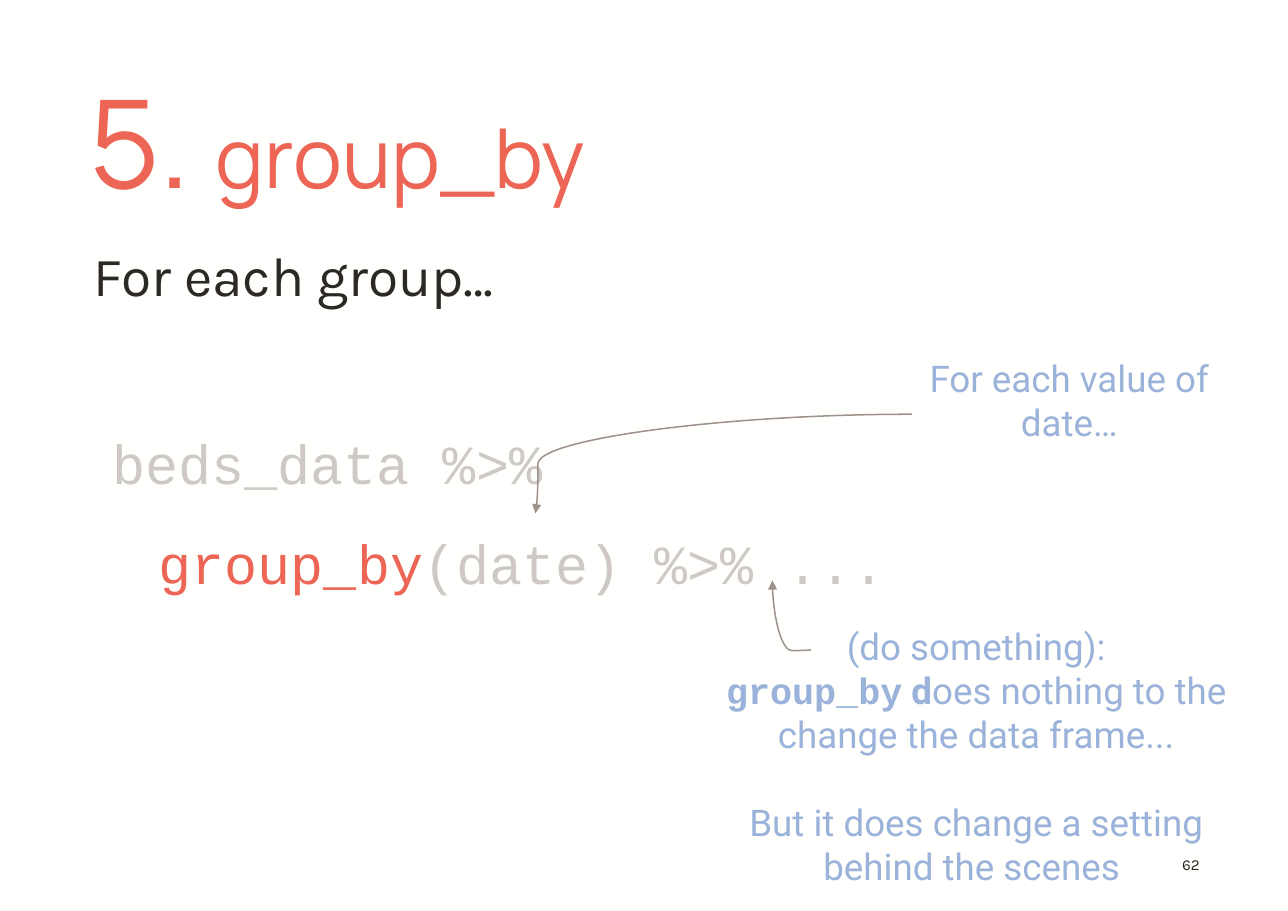
from lxml import etree
from pptx import Presentation
from pptx import util as u
from pptx.dml.color import RGBColor
from pptx.enum import shapes, text
from pptx.oxml.ns import qn

COLORS = {"paper": "FFFFFE", "coral": "EC6555", "ink": "2C2825",
          "code": "CEC9C5", "note": "9BB3DA", "arrow": "9D928A"}
MONO, SANS, BODY, HEAD = "Courier New", "Roboto", "Karla", "Manrope"

prs = Presentation()
prs.slide_width, prs.slide_height = u.Inches(11.69), u.Inches(8.27)


# The slide is a grid of 100 columns by 100 rows
def col(n):
    return round(prs.slide_width * n / 100)


def row(n):
    return round(prs.slide_height * n / 100)


def place(sp, box):
    x, y, w, h = box
    sp.left, sp.top, sp.width, sp.height = col(x), row(y), col(w), row(h)


def frame(sp, inset, anchor=text.MSO_ANCHOR.TOP):
    tf = sp.text_frame
    tf.word_wrap = True
    tf.auto_size = text.MSO_AUTO_SIZE.NONE
    tf.vertical_anchor = anchor
    tf.margin_left = tf.margin_right = u.Inches(inset[0])
    tf.margin_top = tf.margin_bottom = u.Inches(inset[1])
    return tf


def fill_paragraph(p, runs, align, before=0, indent=(0, 0), spacing=1.0):
    """Each run is (words, size, font, colour, bold)."""
    pPr = p._p.get_or_add_pPr()
    pPr.set("marL", str(u.Inches(indent[0])))
    pPr.set("indent", str(u.Inches(indent[1])))
    etree.SubElement(pPr, qn("a:buNone"))
    p.alignment = align
    p.line_spacing = spacing
    p.space_before, p.space_after = u.Pt(before), u.Pt(0)
    for words, size, font, color, bold in runs:
        r = p.add_run()
        r.text = words
        r.font.size, r.font.name, r.font.bold = u.Pt(size), font, bold
        r.font.color.rgb = RGBColor.from_string(COLORS[color])


def fill_frame(tf, paragraphs, align):
    for i, (runs, layout) in enumerate(paragraphs):
        p = tf.add_paragraph() if i else tf.paragraphs[0]
        fill_paragraph(p, runs, align, **layout)


def curved_arrow(slide, start, end, bend, turn=0):
    sp = slide.shapes.add_connector(
        shapes.MSO_CONNECTOR.CURVE,
        col(start[0]), row(start[1]), col(end[0]), row(end[1]))
    sp.line.width = u.Pt(1)
    sp.line.color.rgb = RGBColor.from_string(COLORS["arrow"])
    etree.SubElement(sp.line._get_or_add_ln(), qn("a:tailEnd"), type="triangle")
    spPr = sp._element.spPr
    etree.SubElement(spPr, qn("a:effectLst"))
    spPr.find(qn("a:xfrm")).set("rot", str(turn * 60000))
    geom = spPr.find(qn("a:prstGeom"))
    geom.set("prst", "curvedConnector3")
    guides = geom.find(qn("a:avLst"))
    if guides is None:
        guides = etree.SubElement(geom, qn("a:avLst"))
    etree.SubElement(guides, qn("a:gd"), name="adj1",
                     fmla=f"val {round(bend * 1000)}")


def heading(slide, box):
    sp = slide.shapes.title
    place(sp, box)
    tf = frame(sp, (0.08, 0.08), text.MSO_ANCHOR.BOTTOM)
    fill_frame(tf, [([("5. ", 80, HEAD, "coral", False),
                      ("group_by", 54, HEAD, "coral", False)], {})],
               text.PP_ALIGN.LEFT)


def code_body(slide, box):
    sp = slide.placeholders[1]
    place(sp, box)
    fill_frame(frame(sp, (0.08, 0.08)), [
        ([("For each group…", 36, BODY, "ink", False)],
         {"indent": (0.49, 0)}),
        ([("beds_data %>%", 36, MONO, "code", False)],
         {"before": 71, "indent": (0, 0.66), "spacing": 1.2}),
        ([("group_by", 36, MONO, "coral", False),
          ("(date) %>% ...", 36, MONO, "code", False)],
         {"before": 14, "indent": (0, 1.08), "spacing": 1.2}),
    ], text.PP_ALIGN.LEFT)


def text_box(slide, box, paragraphs, align, inset=(0.1, 0.05)):
    sp = slide.shapes.add_textbox(0, 0, 0, 0)
    place(sp, box)
    fill_frame(frame(sp, inset), paragraphs, align)


def date_note(slide, box):
    x, y = box[:2]
    text_box(slide, box,
             [([("For each value of date…", 24, SANS, "note", False)], {})],
             text.PP_ALIGN.CENTER)
    curved_arrow(slide, (x, y + 7.02), (x - 29.26, y + 17.9), 99.3)


def setting_note(slide, box):
    x, y = box[:2]
    text_box(slide, box, [
        ([("(do something):", 24, SANS, "note", False)], {}),
        ([("group_by", 24, MONO, "note", True),
          (" d", 24, SANS, "note", True),
          ("oes nothing to the change the data frame...",
           24, SANS, "note", False)], {}),
        ([("But it does change a setting behind the scenes ",
           24, SANS, "note", False)], {"before": 29}),
    ], text.PP_ALIGN.CENTER)
    curved_arrow(slide, (x + 4.79, y + 1.81), (x + 10.18, y - 2.42), -1.1, 270)


def page_number(slide, box):
    text_box(slide, box, [([("62", 10, BODY, "ink", False)], {})],
             text.PP_ALIGN.RIGHT, (0.08, 0.08))


def main():
    slide = prs.slides.add_slide(prs.slide_layouts[1])
    slide.background.fill.solid()
    slide.background.fill.fore_color.rgb = RGBColor.from_string(COLORS["paper"])
    heading(slide, (6.24, 14.75, 87.6, 9.55))
    code_body(slide, (2.4, 25.51, 95.12, 67.35))
    page_number(slide, (87.08, 92.87, 6.76, 4.84))
    date_note(slide, (70.83, 38.45, 24.38, 11))
    setting_note(slide, (53.98, 67.84, 43.63, 30.47))
    prs.save("out.pptx")


if __name__ == "__main__":
    main()
